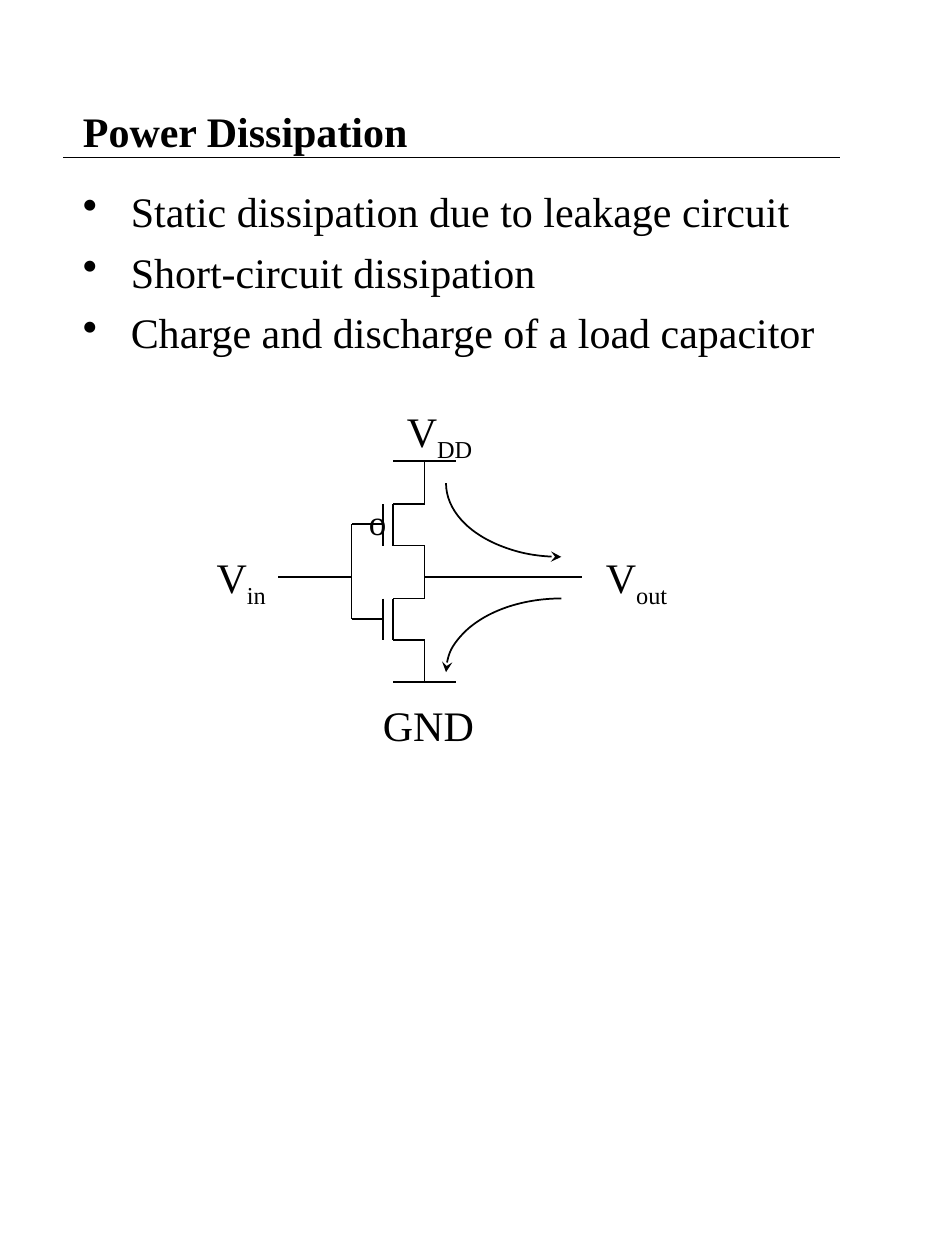
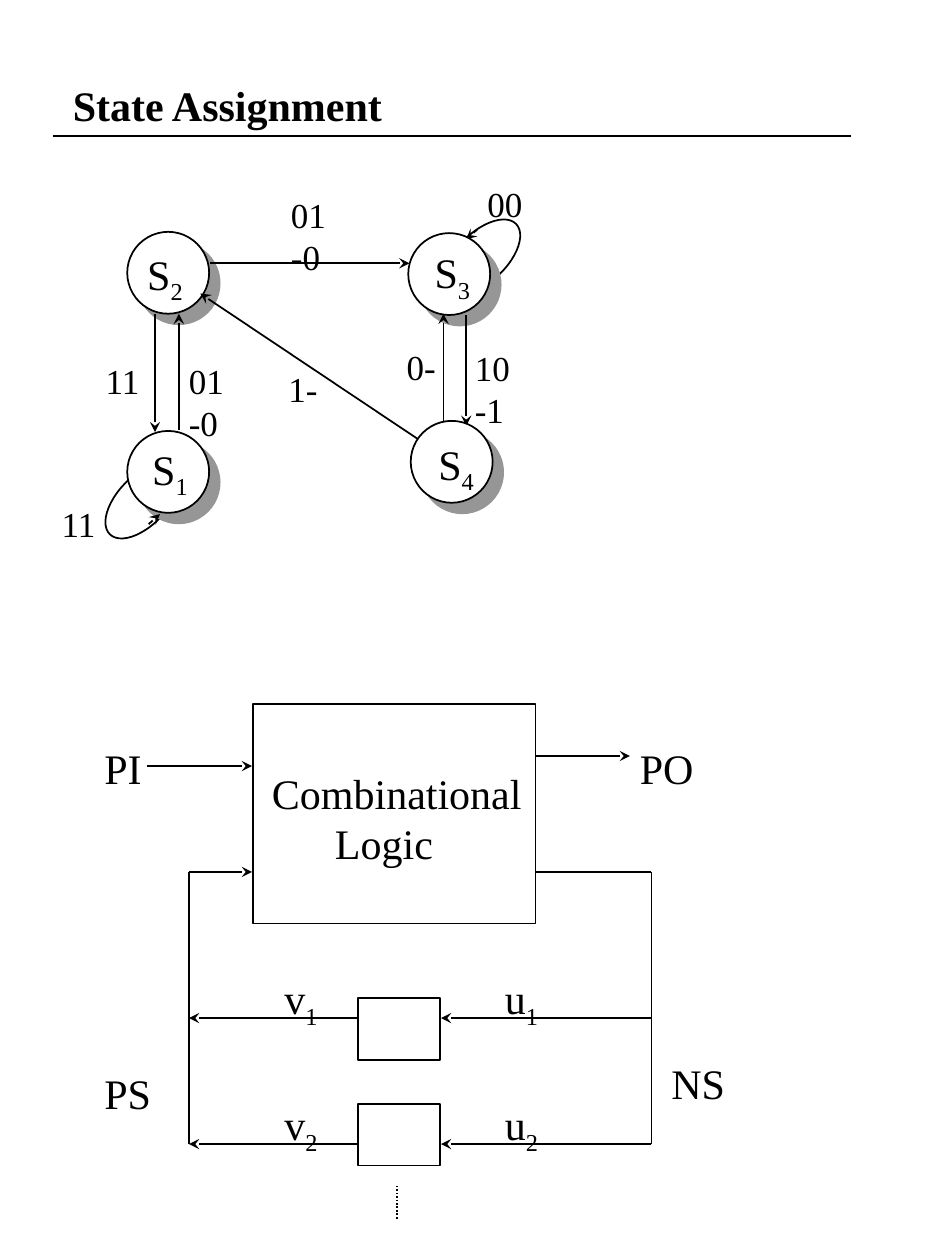
from typing import NamedTuple

from lxml.etree import SubElement
from pptx import Presentation
from pptx.dml.color import RGBColor as RGB
from pptx.enum.dml import MSO_LINE as Dash
from pptx.enum.shapes import MSO_CONNECTOR as Link, MSO_SHAPE as Kind
from pptx.enum.text import MSO_ANCHOR as Anchor
from pptx.oxml.ns import qn
from pptx.util import Inches, Pt

COLORS = {"ink": "000000", "paper": "FFFFFF", "shade": "969696"}
FONT = "Times New Roman"
DISC = 0.65  # diameter of a state


class Label(NamedTuple):
    """Text at a place; an underscore starts a subscript."""
    text: str
    x: float
    y: float
    w: float = 0.48
    size: int = 24


class Wire(NamedTuple):
    points: list[tuple[float, float]]
    arrow: bool = False


class State(NamedTuple):
    x: float
    y: float
    label: Label


def color(name: str) -> RGB:
    return RGB.from_string(COLORS[name])


def add_node(parent, tag: str, **attrs: str):
    return SubElement(parent, qn(tag), attrs)


def style(para, size: int, bold: bool = False) -> None:
    font = para.font
    font.name, font.size, font.bold = FONT, Pt(size), bold
    font.color.rgb = color("ink")


def add_box(slide, x: float, y: float, w: float, h: float):
    return slide.shapes.add_textbox(Inches(x), Inches(y), Inches(w), Inches(h))


def add_label(slide, item: Label):
    lines = item.text.split("\n")
    high = 0.1 + len(lines) * item.size / 60 + 0.06 * ("_" in item.text)
    box = add_box(slide, item.x, item.y, item.w, high)
    frame = box.text_frame
    frame.word_wrap = False
    for i, line in enumerate(lines):
        para = frame.add_paragraph() if i else frame.paragraphs[0]
        base, _, sub = line.partition("_")
        para.add_run().text = base
        if sub:
            run = para.add_run()
            run.text = sub
            run._r.get_or_add_rPr().set("baseline", "-25000")
        style(para, item.size)
    return box


def add_wire(slide, wire: Wire) -> None:
    """Draw straight segments, with any arrowhead at the last point."""
    for start, end in zip(wire.points, wire.points[1:]):
        ends = [Inches(v) for v in (*start, *end)]
        line = slide.shapes.add_connector(Link.STRAIGHT, *ends)
        line.line.color.rgb = color("ink")
        line.line.width = Pt(1)
        add_node(line._element.spPr, "a:effectLst")
    if wire.arrow:
        add_node(line.line._get_or_add_ln(), "a:tailEnd", type="stealth")


def add_shape(slide, kind: Kind, x: float, y: float, w: float, h: float):
    shape = slide.shapes.add_shape(
        kind, Inches(x), Inches(y), Inches(w), Inches(h))
    shape.shadow.inherit = False
    shape.fill.solid()
    shape.fill.fore_color.rgb = color("paper")
    shape.line.color.rgb = color("ink")
    shape.line.width = Pt(1)
    return shape


def add_arc(slide, y: float, start: int) -> None:
    """Draw a quarter arc, clockwise from start, its arrowhead at start."""
    arc = add_shape(slide, Kind.ARC, 3.54, y, 1.83, 1.17)
    arc.fill.background()
    arc.adjustments[0] = start * 0.6
    arc.adjustments[1] = (start + 90) * 0.6
    add_node(arc.line._get_or_add_ln(), "a:headEnd", type="stealth")


def add_loop(slide, x: float, y: float, turn: int) -> None:
    add_shape(slide, Kind.OVAL, x, y, 0.74, 0.39).rotation = turn


def add_state(slide, state: State) -> None:
    disc = add_shape(slide, Kind.OVAL, state.x, state.y, DISC, DISC)
    effects = disc._element.spPr.find(qn("a:effectLst"))
    shade = add_node(effects, "a:outerShdw", dist=str(Pt(8.5)),
                     dir="2700000", algn="ctr", rotWithShape="0")
    add_node(shade, "a:srgbClr", val=COLORS["shade"])
    add_label(slide, state.label)


def add_title(slide, text: str, x: float, y: float, h: float,
              rule: Wire) -> None:
    box = add_box(slide, x, y, 6.37, h)
    frame = box.text_frame
    frame.word_wrap = True
    frame.vertical_anchor = Anchor.MIDDLE
    frame.text = text
    style(frame.paragraphs[0], 24, bold=True)
    add_wire(slide, rule)


def add_bullets(slide, items: list[str]) -> None:
    frame = add_box(slide, 0.56, 1.42, 6.37, 7.47).text_frame
    frame.word_wrap = True
    for i, item in enumerate(items):
        para = frame.add_paragraph() if i else frame.paragraphs[0]
        para.text = item
        props = para._p.get_or_add_pPr()
        props.set("marL", str(Inches(0.38)))
        props.set("indent", str(-Inches(0.38)))
        add_node(props, "a:buChar", char="•")
        if i:
            para.space_before = Pt(6)
        style(para, 24)


def build_power(slide) -> None:
    add_title(slide, "Power Dissipation", 0.56, 0.5, 1.08,
              Wire([(0.5, 1.25), (6.67, 1.25)]))
    add_bullets(slide, [
        "Static dissipation due to leakage circuit",
        "Short-circuit dissipation",
        "Charge and discharge of a load capacitor",
    ])

    rail, plate, gate, feed = 3.37, 3.12, 3.04, 2.79
    high, mid, low = 3.66, 4.58, 5.41
    wires = [Wire([(plate, y), (3.62, y)]) for y in (high, low)]
    path = [(rail, high)]
    for top in (4, 4.75):
        end = top + 0.33
        path += [(rail, top), (plate, top), (plate, end), (rail, end)]
        wires.append(Wire([(gate, top), (gate, end)]))
    wires += [
        Wire(path + [(rail, low)]),
        Wire([(gate, 4.16), (feed, 4.16), (feed, 4.91), (gate, 4.91)]),
        Wire([(feed, mid), (2.21, mid)]),
        Wire([(rail, mid), (4.62, mid)]),
    ]
    for wire in wires:
        add_wire(slide, wire)
    add_arc(slide, 3.25, 90)
    add_arc(slide, 4.75, 180)

    for item in (
        Label("V_in", 1.62, 4.33, 0.59),
        Label("V_out", 4.71, 4.33, 0.69),
        Label("V_DD", 3.13, 3.17, 0.72),
        Label("GND", 2.94, 5.5, 0.92),
        Label("o", 2.83, 3.92, 0.34, 20),
    ):
        add_label(slide, item)


def draw_states(slide) -> None:
    add_loop(slide, 3.46, 1.84, 136)
    add_wire(slide, Wire([(3.79, 1.82), (3.7, 1.9)], True))
    add_loop(slide, 0.76, 3.78, 314)
    for state in (
        State(3.24, 1.85, Label("S_3", 3.35, 1.91)),
        State(1.01, 1.84, Label("S_2", 1.07, 1.92)),
        State(1.01, 3.42, Label("S_1", 1.11, 3.47)),
    ):
        add_state(slide, state)
    for start, end in (
        ((1.67, 2.09), (3.25, 2.09)),
        ((1.42, 3.41), (1.42, 2.49)),
        ((1.23, 2.49), (1.23, 3.43)),
        ((3.52, 3.34), (3.52, 2.49)),
        ((3.7, 2.5), (3.7, 3.38)),
        ((3.34, 3.5), (1.59, 2.33)),
        ((1.18, 4.16), (1.27, 4.08)),
    ):
        add_wire(slide, Wire([start, end], True))
    add_state(slide, State(3.26, 3.34, Label("S_4", 3.38, 3.43)))

    for text, x, y, w in (
        ("01\n-0", 2.21, 1.49, 0.48),
        ("00", 3.77, 1.4, 0.48),
        ("10\n-1", 3.67, 2.7, 0.48),
        ("0-", 3.13, 2.69, 0.43),
        ("1-", 2.19, 2.87, 0.43),
        ("01\n-0", 1.4, 2.8, 0.48),
        ("11", 0.74, 2.8, 0.48),
        ("11", 0.39, 3.94, 0.48),
    ):
        add_label(slide, Label(text, x, y, w, 20))


def draw_logic(slide) -> None:
    left, right, top, low = 1.5, 5.17, 6.92, 9.08
    add_shape(slide, Kind.RECTANGLE, 2.01, 5.59, 2.24, 1.74)
    for wire in (
        Wire([(left, low), (left, top), (2, top)], True),
        Wire([(4.25, top), (right, top), (right, low)]),
        Wire([(1.17, 6.08), (2, 6.08)], True),
        Wire([(4.25, 6), (5, 6)], True),
    ):
        add_wire(slide, wire)

    for i, (y, box) in enumerate(((8.08, 7.92), (low, 8.76)), 1):
        add_shape(slide, Kind.RECTANGLE, 2.84, box, 0.65, 0.49)
        add_wire(slide, Wire([(right, y), (3.5, y)], True))
        add_wire(slide, Wire([(2.83, y), (left, y)], True))
        add_label(slide, Label(f"u_{i}", 3.91, y - 0.41, 0.47))
        add_label(slide, Label(f"v_{i}", 2.16, y - 0.41, 0.47))

    name = add_label(slide, Label("Combinational\nLogic", 2.06, 6.04, 2.18))
    props = name.text_frame.paragraphs[1]._p.get_or_add_pPr()
    props.set("marL", str(Inches(0.5)))
    for item in (
        Label("PI", 0.73, 5.84, 0.5),
        Label("PO", 4.98, 5.84, 0.63),
        Label("PS", 0.73, 8.42, 0.57),
        Label("NS", 5.23, 8.34, 0.63),
    ):
        add_label(slide, item)

    add_wire(slide, Wire([(3.15, 9.41), (3.15, 9.68)]))
    slide.shapes[-1].line.dash_style = Dash.ROUND_DOT


def build_assign(slide) -> None:
    add_title(slide, "State Assignment", 0.48, 0, 1.67,
              Wire([(0.42, 1.08), (6.75, 1.08)]))
    draw_states(slide)
    draw_logic(slide)


def main() -> None:
    deck = Presentation()
    deck.slide_width, deck.slide_height = Inches(7.5), Inches(10)
    for build in (build_power, build_assign):
        build(deck.slides.add_slide(deck.slide_layouts[6]))
    deck.save("out.pptx")


if __name__ == "__main__":
    main()
